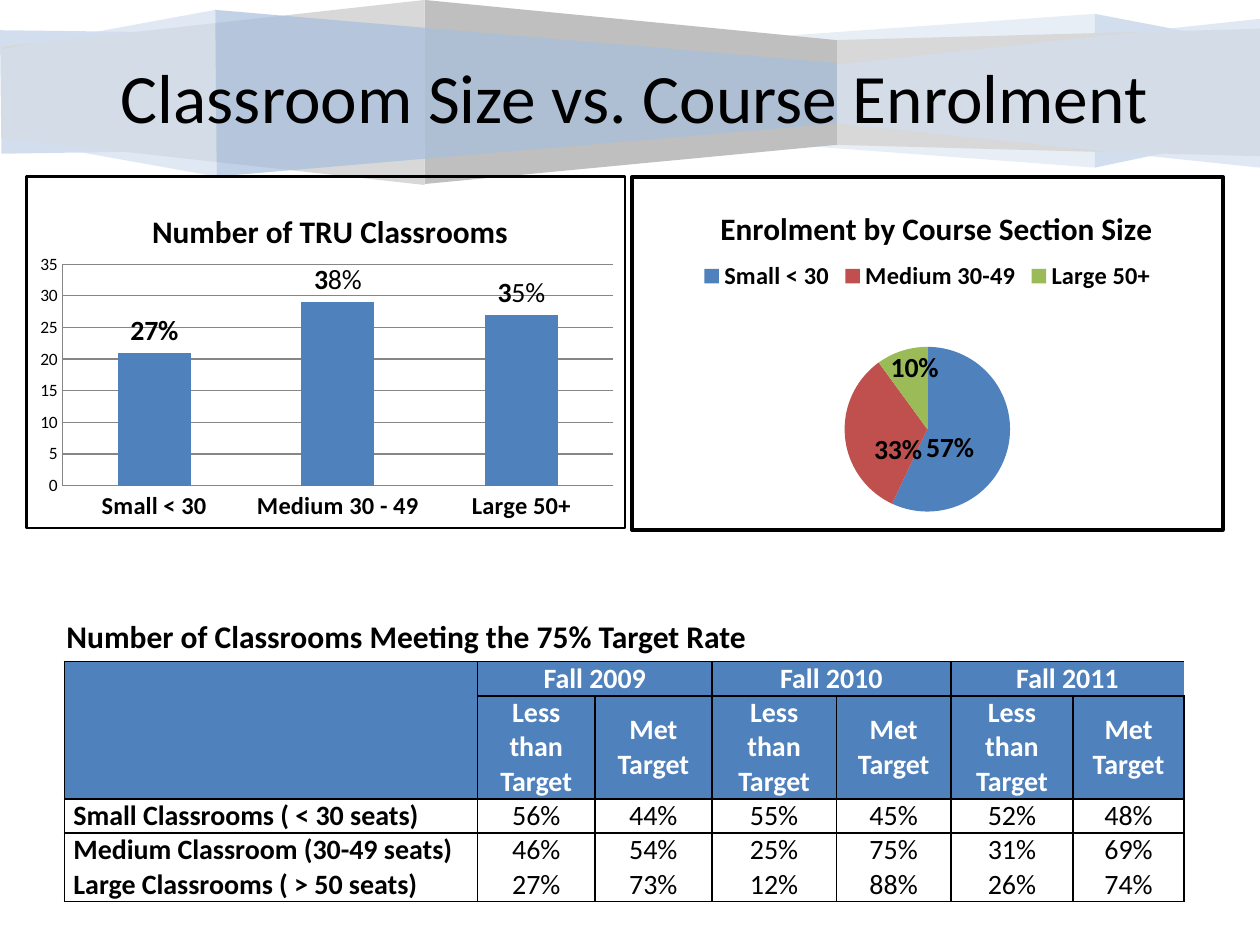
"""Build the classroom size and course enrolment slide."""
from dataclasses import dataclass

from lxml import etree
from pptx import Presentation
from pptx import util as u
from pptx.chart.data import CategoryChartData
from pptx.dml.color import RGBColor
from pptx.enum import chart as charts
from pptx.enum import text
from pptx.oxml import parse_xml
from pptx.oxml.ns import nsdecls, qn

FONT = "Calibri"
BLACK = RGBColor(0x00, 0x00, 0x00)
WHITE = RGBColor(0xFF, 0xFF, 0xFF)
BLUE = RGBColor(0x4F, 0x81, 0xBD)
RED = RGBColor(0xC0, 0x50, 0x4D)
GREEN = RGBColor(0x9B, 0xBB, 0x59)
AXIS_GRAY = RGBColor(0x86, 0x86, 0x86)
RIBBON_BLUE = RGBColor(0xA7, 0xBF, 0xDE)
RIBBON_PALE = RGBColor(0xD3, 0xDF, 0xEE)
RIBBON_LIGHT = RGBColor(0xD8, 0xD8, 0xD8)
RIBBON_GRAY = RGBColor(0xBF, 0xBF, 0xBF)
NO_STYLE = "{2D5ABB26-0587-4C30-8999-92F81FD0307C}"


@dataclass
class Fold:
    points: list[tuple[float, float]]
    color: RGBColor
    opacity: int = 100


@dataclass
class ChartPanel:
    kind: int
    title: str
    box: tuple[float, float, float, float]
    categories: list[str]
    values: list[int]
    border: float
    title_layout: tuple[float, float]
    plot_layout: tuple[float, float, float, float]


FOLDS = [
    Fold([(0, 0.61), (0.03, 3.1), (14.86, 2.87), (14.86, 0.79)], RIBBON_BLUE, 50),
    Fold([(14.86, 0.79), (14.86, 2.84), (22.07, 3.38), (22.07, 0.28)], RIBBON_PALE, 50),
    Fold([(22.07, 0.28), (22.07, 3.38), (25.37, 2.69), (25.37, 0.91)], RIBBON_BLUE, 50),
    Fold([(16.81, 0.81), (16.81, 2.92), (25.4, 3.15), (25.4, 0.58)], RIBBON_LIGHT),
    Fold([(8.56, 0), (8.56, 3.71), (16.87, 2.92), (16.87, 0.81)], RIBBON_GRAY),
    Fold([(8.56, 0), (8.56, 3.73), (0.05, 2.79), (0.05, 0.94)], RIBBON_LIGHT),
    Fold([(0.05, 0.99), (4.34, 0.2), (4.37, 3.56), (0.05, 2.79)], RIBBON_PALE, 70),
    Fold([(4.34, 0.2), (4.37, 3.56), (16.87, 2.49), (16.87, 1.27)], RIBBON_BLUE, 70),
    Fold([(16.87, 1.3), (16.87, 2.49), (25.4, 3.38), (25.4, 0.38)], RIBBON_PALE, 70),
]
CLASSROOMS = ChartPanel(
    charts.XL_CHART_TYPE.COLUMN_CLUSTERED, "Number of TRU Classrooms",
    (0.51, 3.53, 12.12, 7.14), ["Small < 30", "Medium 30 - 49", "Large 50+"],
    [21, 29, 27], 1.5, (0.2, 0.08), (0.06, 0.25, 0.92, 0.63))
ENROLMENT = ChartPanel(
    charts.XL_CHART_TYPE.PIE, "Enrolment by Course Section Size",
    (12.7, 3.53, 11.99, 7.19), ["Small < 30", "Medium 30-49", "Large 50+"],
    [57, 33, 10], 2.25, (0.14, 0.07), (0.36, 0.48, 0.28, 0.47))
COLUMN_LABELS = [("27%", ""), ("3", "8%"), ("3", "5%")]
PIE_COLORS = [BLUE, RED, GREEN]
PIE_LABEL_SHIFTS = [(-0.03, 0.03), (0.02, 0.05), (0, -0.06)]
TABLE_ROWS = [
    ["", "Fall 2009", "", "Fall 2010", "", "Fall 2011", ""],
    [""] + ["Less than Target", "Met Target"] * 3,
    ["Small Classrooms ( < 30 seats)", "56%", "44%", "55%", "45%", "52%", "48%"],
    ["Medium Classroom (30-49 seats)", "46%", "54%", "25%", "75%", "31%", "69%"],
    ["Large Classrooms ( > 50 seats)", "27%", "73%", "12%", "88%", "26%", "74%"],
]
COLUMN_WIDTHS = [8.33, 2.36, 2.36, 2.51, 2.31, 2.46, 2.24]
ROW_HEIGHTS = [0.69, 2.06, 0.69, 0.69, 0.69]


def style(font, size: float, bold: bool = False, color: RGBColor = BLACK) -> None:
    font.name, font.size, font.bold = FONT, u.Pt(size), bold
    font.color.rgb = color


def draw_ribbon(slide):
    group = slide.shapes.add_group_shape()
    for fold in FOLDS:
        start, *others = [(u.Cm(x), u.Cm(y)) for x, y in fold.points]
        builder = group.shapes.build_freeform(*start, scale=1.0)
        builder.add_line_segments(others, close=True)
        shape = builder.convert_to_shape()
        shape.shadow.inherit = False
        shape.fill.solid()
        shape.fill.fore_color.rgb = fold.color
        shape.line.fill.background()
        if fold.opacity < 100:
            color = shape.element.xpath("./p:spPr/a:solidFill/a:srgbClr")[0]
            etree.SubElement(color, qn("a:alpha"), val=str(fold.opacity * 1000))
    return group


def set_layout(element, values: tuple[float, ...], inner: bool = False) -> None:
    for old in element.findall(qn("c:layout")):
        element.remove(old)
    target = '<c:layoutTarget val="inner"/>' if inner else ""
    modes = "" if element.tag == qn("c:dLbl") else '<c:xMode val="edge"/><c:yMode val="edge"/>'
    sizes = "".join(f'<c:{name} val="{value}"/>' for name, value in zip("xywh", values))
    layout = parse_xml(f'<c:layout {nsdecls("c")}><c:manualLayout>{target}{modes}{sizes}'
                       "</c:manualLayout></c:layout>")
    first = element[0] if len(element) else None
    has_lead = first is not None and first.tag in (qn("c:tx"), qn("c:idx"))
    element.insert(1 if has_lead else 0, layout)


def add_panel(slide, panel: ChartPanel):
    data = CategoryChartData()
    data.categories = panel.categories
    data.add_series("Series 1", panel.values)
    chart = slide.shapes.add_chart(panel.kind, *map(u.Cm, panel.box), data).chart
    style(chart.font, 10)
    chart.has_title = True
    chart.chart_title.text_frame.text = panel.title
    style(chart.chart_title.text_frame.paragraphs[0].runs[0].font, 18, True)
    chart.has_legend = False
    set_layout(chart.element.xpath("./c:chart/c:title")[0], panel.title_layout)
    set_layout(chart.element.xpath("./c:chart/c:plotArea")[0], panel.plot_layout, True)
    chart.element.find(qn("c:chart")).addnext(parse_xml(
        f'<c:spPr {nsdecls("c", "a")}><a:noFill/><a:ln w="{u.Pt(panel.border)}">'
        f'<a:solidFill><a:srgbClr val="{BLACK}"/></a:solidFill></a:ln></c:spPr>'))
    return chart


def finish_columns(chart) -> None:
    plot = chart.plots[0]
    plot.gap_width, plot.vary_by_categories = 150, False
    series = plot.series[0]
    series.format.fill.solid()
    series.format.fill.fore_color.rgb = BLUE
    values, categories = chart.value_axis, chart.category_axis
    values.minimum_scale, values.maximum_scale, values.major_unit = 0, 35, 5
    for axis in (values, categories):
        axis.major_tick_mark = charts.XL_TICK_MARK.NONE
        axis.format.line.color.rgb = AXIS_GRAY
    values.major_gridlines.format.line.color.rgb = AXIS_GRAY
    style(values.tick_labels.font, 10)
    style(categories.tick_labels.font, 14, True)
    for index, (bold_part, plain_part) in enumerate(COLUMN_LABELS):
        label = series.points[index].data_label
        paragraph = label.text_frame.paragraphs[0]
        for part, bold in ((bold_part, True), (plain_part, False)):
            if part:
                run = paragraph.add_run()
                run.text = part
                style(run.font, 16, bold)
        label.position = charts.XL_LABEL_POSITION.OUTSIDE_END


def finish_pie(chart) -> None:
    chart.has_legend = True
    chart.legend.position = charts.XL_LEGEND_POSITION.TOP
    chart.legend.include_in_layout = False
    style(chart.legend.font, 14, True)
    series = chart.plots[0].series[0]
    for index, color in enumerate(PIE_COLORS):
        point = series.points[index]
        point.format.fill.solid()
        point.format.fill.fore_color.rgb = color
        style(point.data_label.font, 16, True)
        point.data_label.position = charts.XL_LABEL_POSITION.CENTER
    labels = series.data_labels
    style(labels.font, 16, True)
    labels.show_value, labels.show_percentage = False, True
    for label, shift in zip(chart.element.xpath(".//c:dLbl"), PIE_LABEL_SHIFTS):
        label.find(qn("c:showVal")).set("val", "0")
        label.find(qn("c:showPercent")).set("val", "1")
        set_layout(label, shift)


def set_borders(cell, row: int, column: int) -> None:
    edges = {"lnL": column in (0, 1, 3, 5), "lnR": column in (0, 2, 4, 6),
             "lnT": row in (0, 2) or (row == 1 and column > 0),
             "lnB": row in (1, 4) or (row == 0 and column > 0)}
    names = [name for name, drawn in edges.items() if drawn]
    for index, name in enumerate(names):
        cell._tc.get_or_add_tcPr().insert(index, parse_xml(
            f'<a:{name} {nsdecls("a")} w="{u.Pt(1)}"><a:solidFill>'
            f'<a:srgbClr val="{BLACK}"/></a:solidFill></a:{name}>'))


def format_cell(cell, content: str, row: int, column: int) -> None:
    header = row < 2
    cell.margin_left = cell.margin_right = u.Cm(0.18)
    cell.margin_top = cell.margin_bottom = 0
    cell.vertical_anchor = text.MSO_ANCHOR.MIDDLE if row == 1 else text.MSO_ANCHOR.BOTTOM
    if header:
        cell.fill.solid()
        cell.fill.fore_color.rgb = BLUE
    else:
        cell.fill.background()
    set_borders(cell, row, column)
    paragraph = cell.text_frame.paragraphs[0]
    if content:
        paragraph.text = content
        paragraph.alignment = text.PP_ALIGN.CENTER if column else text.PP_ALIGN.LEFT
        style(paragraph.runs[0].font, 16, header or column == 0, WHITE if header else BLACK)
    else:
        etree.SubElement(paragraph._p, qn("a:endParaRPr"), sz="1600")


def add_target_table(slide) -> None:
    table = slide.shapes.add_table(
        len(ROW_HEIGHTS), len(COLUMN_WIDTHS), u.Cm(1.3), u.Cm(13.34),
        u.Cm(sum(COLUMN_WIDTHS)), u.Cm(sum(ROW_HEIGHTS))).table
    table.first_row = table.horz_banding = False
    table._tbl.tblPr.find(qn("a:tableStyleId")).text = NO_STYLE
    for column, width in zip(table.columns, COLUMN_WIDTHS):
        column.width = u.Cm(width)
    for row, height in zip(table.rows, ROW_HEIGHTS):
        row.height = u.Cm(height)
    for row, contents in enumerate(TABLE_ROWS):
        for column, content in enumerate(contents):
            format_cell(table.cell(row, column), content, row, column)
    for column in (1, 3, 5):
        table.cell(0, column).merge(table.cell(0, column + 1))


def add_title(slide, group) -> None:
    title = slide.shapes.title
    title.left, title.top, title.width, title.height = map(u.Cm, (1.27, 0.76, 23.04, 2.36))
    frame = title.text_frame
    frame.text = "Classroom Size vs. Course Enrolment"
    frame.auto_size, frame.vertical_anchor = text.MSO_AUTO_SIZE.NONE, text.MSO_ANCHOR.MIDDLE
    frame.paragraphs[0].alignment = text.PP_ALIGN.CENTER
    style(frame.paragraphs[0].runs[0].font, 39.6)
    group.element.addnext(title.element)


def add_table_heading(slide) -> None:
    frame = slide.shapes.add_textbox(*map(u.Cm, (1.09, 12.32, 15.8, 1.02))).text_frame
    frame.word_wrap = True
    frame.auto_size = text.MSO_AUTO_SIZE.SHAPE_TO_FIT_TEXT
    frame.text = "Number of Classrooms Meeting the 75% Target Rate"
    style(frame.paragraphs[0].runs[0].font, 18, True)


def main() -> None:
    presentation = Presentation()
    presentation.slide_width, presentation.slide_height = u.Cm(25.4), u.Cm(19.05)
    slide = presentation.slides.add_slide(presentation.slide_layouts[5])
    add_title(slide, draw_ribbon(slide))
    finish_columns(add_panel(slide, CLASSROOMS))
    finish_pie(add_panel(slide, ENROLMENT))
    add_target_table(slide)
    add_table_heading(slide)
    presentation.save("out.pptx")


if __name__ == "__main__":
    main()
